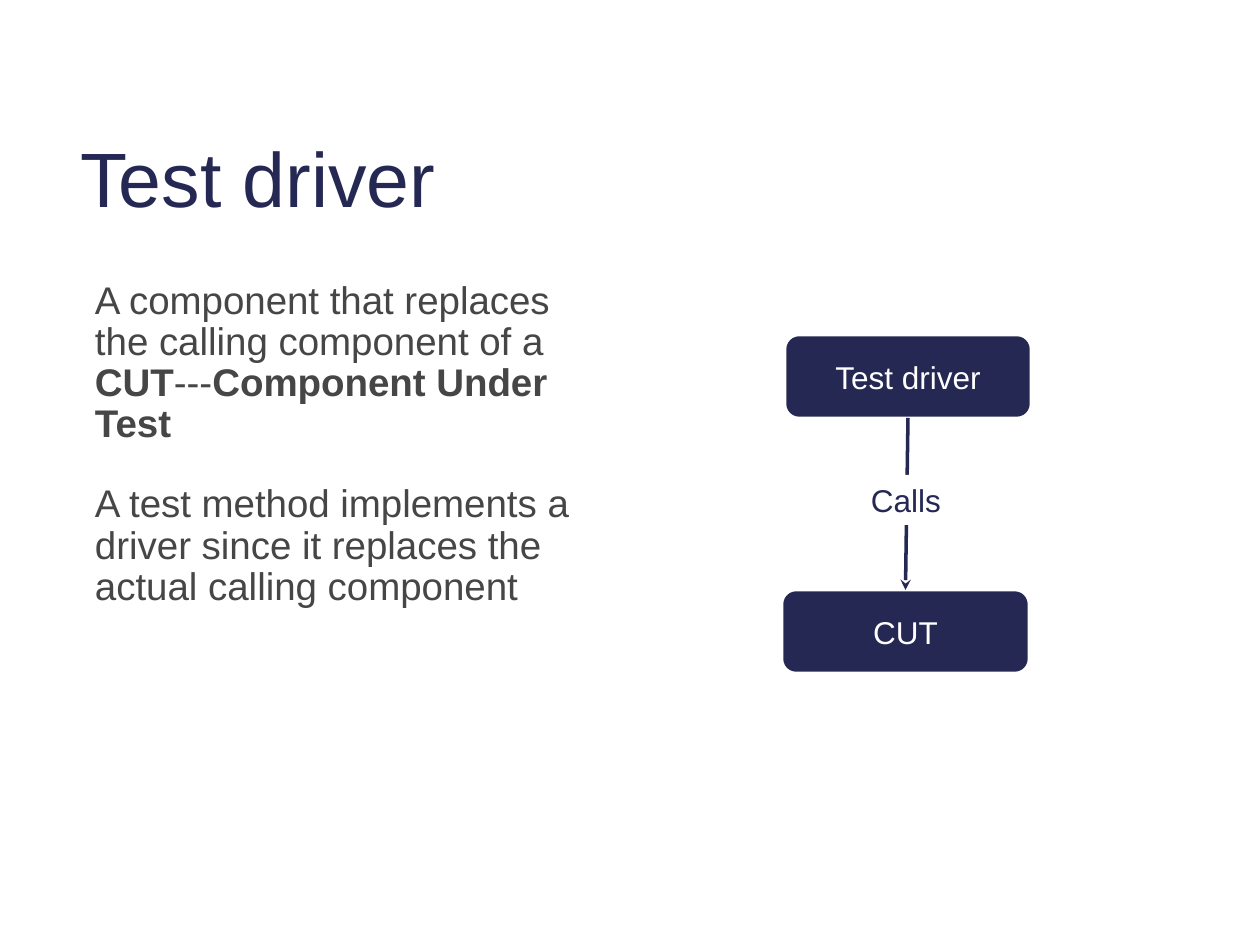
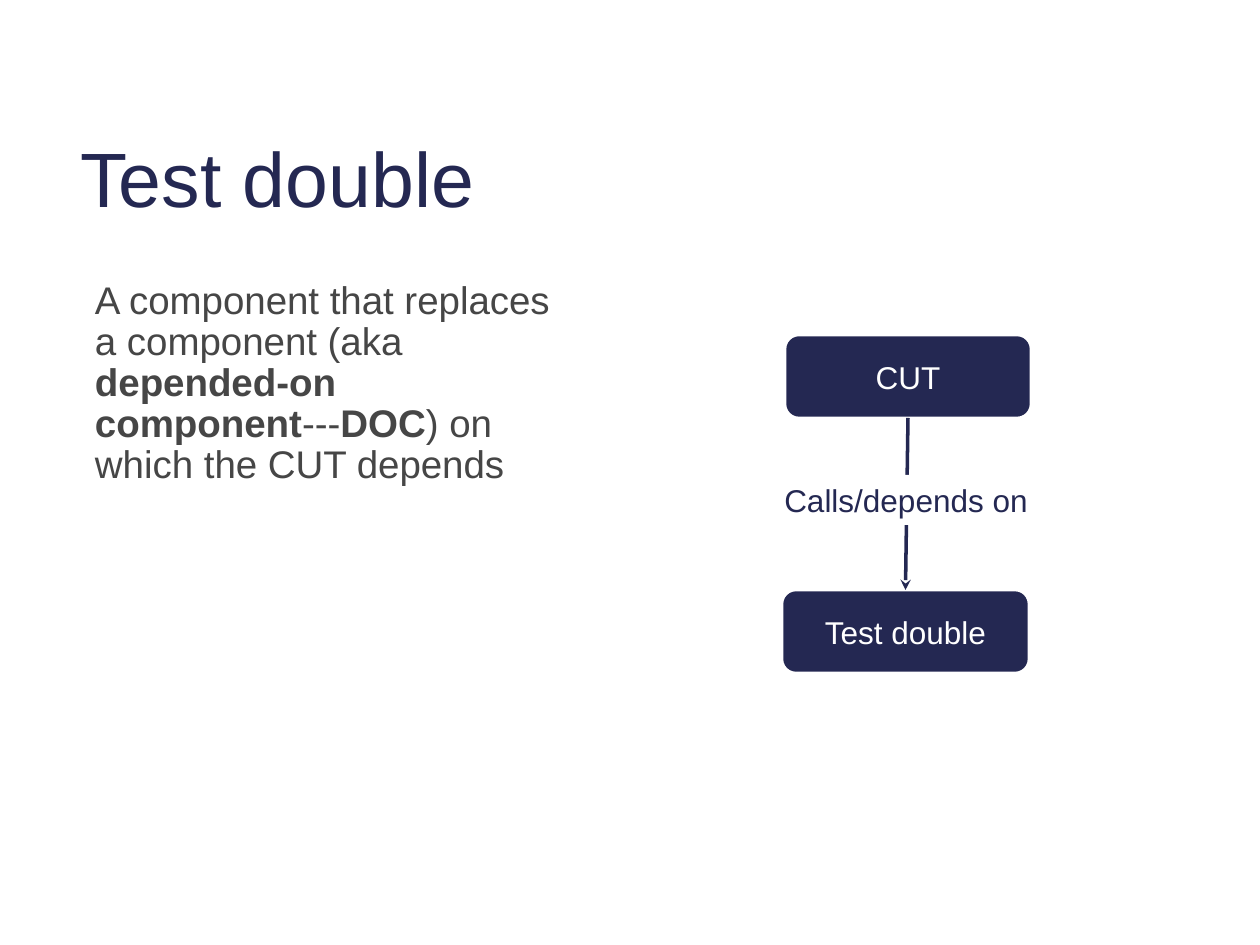
from pptx import Presentation
from pptx.dml.color import RGBColor
from pptx.enum.shapes import MSO_CONNECTOR, MSO_SHAPE
from pptx.enum.text import MSO_ANCHOR, PP_ALIGN
from pptx.util import Pt
from lxml.etree import SubElement
from pptx.oxml.ns import qn

PX = 914400 / 126
FONT = "Arial"
COLORS = {name: RGBColor.from_string(value) for name, value in {
    "navy": "242852", "gray": "464646", "white": "FFFFFF"}.items()}
CENTER_X = 906  # axis of the call diagram

# Body paragraphs are lists of (text, bold) runs.
SLIDES = [
    {
        "title": "Test driver",
        "body_width": 534,
        "body": [
            [("A component that replaces the calling component of a ", False),
             ("CUT", True), ("---", False), ("Component Under Test", True)],
            [("A test method implements a driver since it replaces the "
              "actual calling component", False)],
        ],
        "caller": "Test driver", "call": "Calls", "callee": "CUT",
        "call_width": 96,
    },
    {
        "title": "Test double",
        "body_width": 524,
        "body": [
            [("A component that replaces a component (aka ", False),
             ("depended-on component", True), ("---", False), ("DOC", True),
             (") on which the CUT depends", False)],
        ],
        "caller": "CUT", "call": "Calls/depends on", "callee": "Test double",
        "call_width": 291,
    },
]


def px(*lengths):
    return [round(n * PX) for n in lengths]


def style(p, size, color, align=PP_ALIGN.LEFT):
    p.alignment = align
    for r in p.runs:
        r.font.name = FONT
        r.font.size = Pt(size)
        r.font.color.rgb = COLORS[color]


prs = Presentation()
prs.slide_width, prs.slide_height = px(1260, 945)

for content in SLIDES:
    s = prs.slides.add_slide(prs.slide_layouts[6])

    # Title
    tf = s.shapes.add_textbox(*px(68, 69, 1114, 228)).text_frame
    tf.word_wrap = True
    tf.vertical_anchor = MSO_ANCHOR.MIDDLE
    tf.text = content["title"]
    tf.paragraphs[0].line_spacing = 0.9
    style(tf.paragraphs[0], 44, "navy")

    # Definition
    tf = s.shapes.add_textbox(*px(69, 275, content["body_width"], 519)).text_frame
    tf.word_wrap = True
    tf.margin_left = px(26)[0]
    for i, runs in enumerate(content["body"]):
        p = tf.add_paragraph() if i else tf.paragraphs[0]
        p.line_spacing = 0.89
        p.space_before = Pt(22.5 if i else 0)
        for text, bold in runs:
            r = p.add_run()
            r.text = text
            r.font.bold = bold
        style(p, 22, "gray")

    # Caller and callee
    boxes = []
    for name, left, top, width in (("caller", 785, 335, 246),
                                   ("callee", 782, 590, 247)):
        sp = s.shapes.add_shape(MSO_SHAPE.ROUNDED_RECTANGLE,
                                *px(left, top, width, 83))
        sp.shadow.inherit = False
        sp.fill.solid()
        sp.fill.fore_color.rgb = COLORS["navy"]
        sp.line.color.rgb = COLORS["white"]
        sp.line.width = Pt(1.5)
        sp.text_frame.text = content[name]
        style(sp.text_frame.paragraphs[0], 18, "white", PP_ALIGN.CENTER)
        boxes.append(sp)

    # Call arrow
    arrow = s.shapes.add_connector(MSO_CONNECTOR.STRAIGHT, 0, 0, 0, 0)
    arrow.begin_connect(boxes[0], 2)
    arrow.end_connect(boxes[1], 0)
    arrow.line.color.rgb = COLORS["navy"]
    arrow.line.width = Pt(2)
    SubElement(arrow.line._get_or_add_ln(), qn("a:tailEnd"), type="stealth")
    SubElement(arrow._element.spPr, qn("a:effectLst"))

    # Call label, covering the middle of the arrow
    width = content["call_width"]
    sp = s.shapes.add_shape(MSO_SHAPE.RECTANGLE,
                            *px(CENTER_X - width / 2, 475, width, 50))
    sp.shadow.inherit = False
    sp.fill.solid()
    sp.fill.fore_color.rgb = COLORS["white"]
    sp.line.fill.background()
    tf = sp.text_frame
    tf.word_wrap = False
    tf.vertical_anchor = MSO_ANCHOR.TOP
    tf.text = content["call"]
    style(tf.paragraphs[0], 18, "navy", PP_ALIGN.CENTER)

prs.save("out.pptx")
